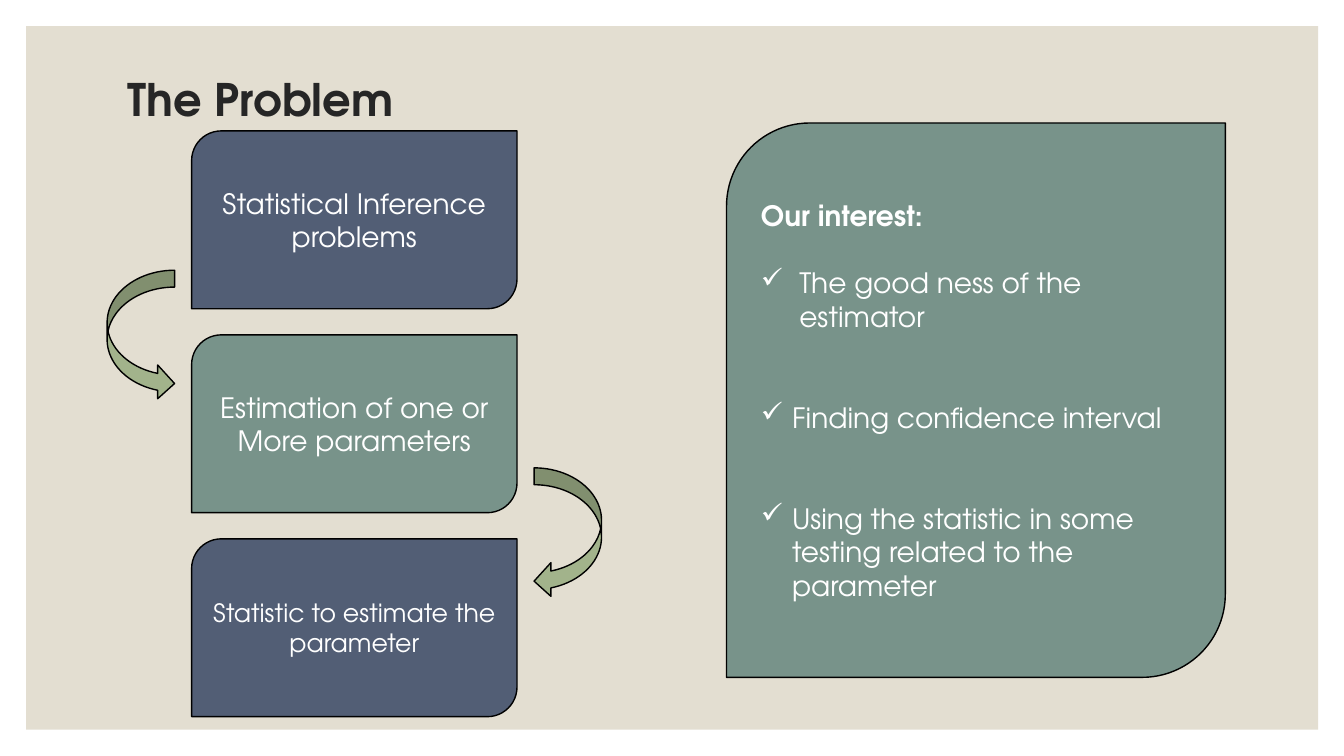
from collections import namedtuple
from dataclasses import dataclass

from lxml.etree import SubElement
from pptx import Presentation
from pptx.dml.color import RGBColor
from pptx.enum.shapes import MSO_SHAPE as Preset
from pptx.enum.text import MSO_ANCHOR as Anchor, PP_ALIGN as Align
from pptx.oxml.ns import qn
from pptx.util import Cm, Pt

Box = namedtuple("Box", "left top width height")  # centimetres


@dataclass(frozen=True)
class Theme:
    font: str = "TeX Gyre Adventor"
    backdrop: str = "E3DED1"
    heading: str = "262626"
    navy: str = "525E75"
    sage: str = "78938A"
    arrow: str = "A2B38B"
    outline: str = "000000"
    light: str = "FFFFFF"
    title_size: int = 32
    body_size: int = 20
    small_size: int = 18


THEME = Theme()

# Wording, fill and text size of each step
STEPS = [
    ("Statistical Inference problems", THEME.navy, THEME.body_size),
    ("Estimation of one or More parameters", THEME.sage, THEME.body_size),
    ("Statistic to estimate the parameter", THEME.navy, THEME.small_size),
]

# Wording, hanging indent (cm) and space before (pt) of each interest
INTERESTS = [
    ("The good ness of the estimator", 0.97, 24),
    ("Finding confidence interval", 0.79, 48),
    ("Using the statistic in some testing related to the parameter", 0.79, 48),
]


def add_run(paragraph, text, size, color, bold=False):
    run = paragraph.add_run()
    run.text = text
    run.font.name = THEME.font
    run.font.size = Pt(size)
    run.font.bold = bold
    run.font.color.rgb = RGBColor.from_string(color)


def add_preset(slide, preset, box, fill, outlined=True):
    shape = slide.shapes.add_shape(preset, *map(Cm, box))
    shape.shadow.inherit = False
    shape.fill.solid()
    shape.fill.fore_color.rgb = RGBColor.from_string(fill)
    if outlined:
        shape.line.color.rgb = RGBColor.from_string(THEME.outline)
        shape.line.width = Pt(1)
    else:
        shape.line.fill.background()
    return shape


def add_card(slide, box, fill):
    """Card with two rounded corners, and its text frame."""
    frame = add_preset(slide, Preset.ROUND_2_DIAG_RECTANGLE, box, fill).text_frame
    frame.word_wrap = True
    frame.vertical_anchor = Anchor.MIDDLE
    return frame


def add_check(paragraph, indent):
    properties = paragraph._p.get_or_add_pPr()
    properties.set("marL", str(Cm(indent)))
    properties.set("indent", str(-Cm(indent)))
    SubElement(properties, qn("a:buChar"), char="✓")


def place_backdrop(slide, box):
    backdrop = add_preset(slide, Preset.RECTANGLE, box, THEME.backdrop, outlined=False)
    backdrop.element.getparent().insert(2, backdrop.element)  # behind the title


def place_title(slide, box):
    title = slide.shapes.title
    title.left, title.top, title.width, title.height = map(Cm, box)
    frame = title.text_frame
    frame.word_wrap = True
    frame.vertical_anchor = Anchor.MIDDLE
    heading = frame.paragraphs[0]
    heading.alignment = Align.LEFT
    heading.line_spacing = 0.9
    add_run(heading, "The Problem", THEME.title_size, THEME.heading, bold=True)


def place_steps(slide, box):
    """Equal cards down the box, joined by arrows on alternating sides."""
    gap = 0.66
    height = (box.height - gap * (len(STEPS) - 1)) / len(STEPS)
    for index, (wording, fill, size) in enumerate(STEPS):
        top = box.top + index * (height + gap)
        step = add_card(slide, Box(box.left, top, box.width, height), fill).paragraphs[0]
        step.alignment = Align.CENTER
        add_run(step, wording, size, THEME.light)

    # Arrows from each step to the next
    arrow_width, arrow_height, clearance = 1.7, 3.28, 0.43
    sides = [
        (Preset.CURVED_RIGHT_ARROW, box.left - clearance - arrow_width, 3.51),
        (Preset.CURVED_LEFT_ARROW, box.left + box.width + clearance, 3.35),
    ]
    for index, (preset, left, drop) in enumerate(sides):
        top = box.top + index * (height + gap) + drop
        add_preset(slide, preset, Box(left, top, arrow_width, arrow_height), THEME.arrow)


def place_interests(slide, box):
    frame = add_card(slide, box, THEME.sage)
    heading = frame.paragraphs[0]
    heading.alignment = Align.LEFT
    add_run(heading, "Our interest:", THEME.body_size, THEME.light, bold=True)
    for wording, indent, space in INTERESTS:
        interest = frame.add_paragraph()
        interest.alignment = Align.LEFT
        interest.space_before = Pt(space)
        add_check(interest, indent)
        add_run(interest, wording, THEME.body_size, THEME.light)


def build_problem_slide(deck):
    slide = deck.slides.add_slide(deck.slide_layouts[5])  # title only
    place_backdrop(slide, Box(0.66, 0.66, 32.56, 17.73))
    place_title(slide, Box(2.97, 0.66, 27.94, 3.81))
    place_steps(slide, Box(4.83, 3.3, 8.2, 14.76))
    place_interests(slide, Box(18.31, 3.1, 12.57, 13.97))


deck = Presentation()
deck.slide_width, deck.slide_height = Cm(33.87), Cm(19.05)
build_problem_slide(deck)
deck.save("out.pptx")
